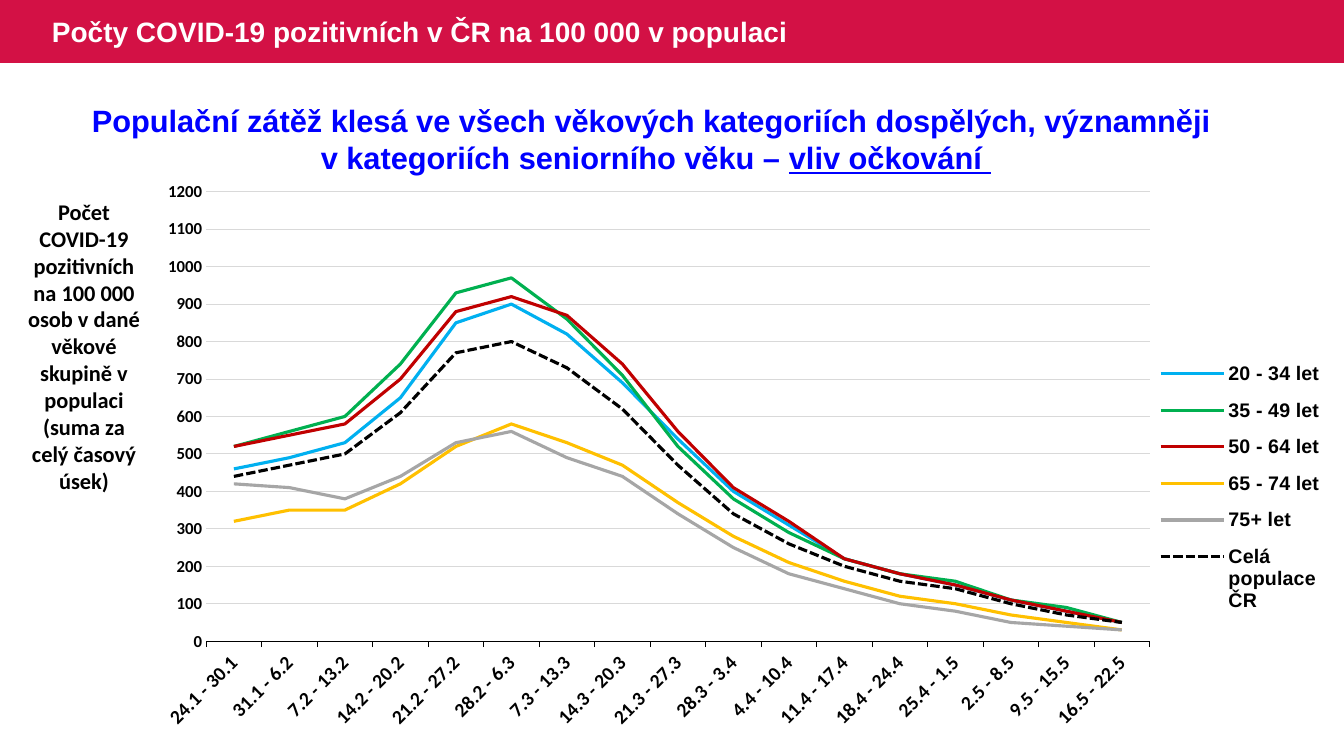
from lxml import etree
from pptx import Presentation
from pptx.chart.data import CategoryChartData
from pptx.dml.color import RGBColor
from pptx.enum.chart import XL_CHART_TYPE, XL_LEGEND_POSITION, XL_TICK_MARK
from pptx.enum.dml import MSO_LINE
from pptx.enum.shapes import MSO_SHAPE
from pptx.enum.text import MSO_ANCHOR, PP_ALIGN
from pptx.oxml.ns import qn
from pptx.util import Pt

PX = 9525
COLORS = {
    "band": "D31145", "white": "FFFFFF", "black": "000000", "headline": "0000FF",
    "grid": "D9D9D9", "20-34": "00B0F0", "35-49": "00B050", "50-64": "C00000",
    "65-74": "FFC000", "75+": "A6A6A6",
}
WEEKS = [
    "24.1 - 30.1", "31.1 - 6.2", "7.2 - 13.2", "14.2 - 20.2", "21.2 - 27.2", "28.2 - 6.3",
    "7.3 - 13.3", "14.3 - 20.3", "21.3 - 27.3", "28.3 - 3.4", "4.4 - 10.4", "11.4 - 17.4",
    "18.4 - 24.4", "25.4 - 1.5", "2.5 - 8.5", "9.5 - 15.5", "16.5 - 22.5",
]
SERIES = [
    ("20 - 34 let", "20-34",
     [460, 490, 530, 650, 850, 900, 820, 690, 540, 400, 310, 220, 180, 150, 110, 80, 50]),
    ("35 - 49 let", "35-49",
     [520, 560, 600, 740, 930, 970, 860, 710, 520, 380, 290, 220, 180, 160, 110, 90, 50]),
    ("50 - 64 let", "50-64",
     [520, 550, 580, 700, 880, 920, 870, 740, 560, 410, 320, 220, 180, 150, 110, 80, 50]),
    ("65 - 74 let", "65-74",
     [320, 350, 350, 420, 520, 580, 530, 470, 370, 280, 210, 160, 120, 100, 70, 50, 30]),
    ("75+ let", "75+",
     [420, 410, 380, 440, 530, 560, 490, 440, 340, 250, 180, 140, 100, 80, 50, 40, 30]),
    ("Celá populace ČR", "black",
     [440, 470, 500, 610, 770, 800, 730, 620, 470, 340, 260, 200, 160, 140, 100, 70, 50]),
]
TEXTS = [
    ((40, 0, 804, 60), [["Počty COVID-19 pozitivních v ČR na 100 000 v populaci"]],
     20, "Arial", "white", PP_ALIGN.LEFT, MSO_ANCHOR.MIDDLE),
    ((14, 184, 132, 294),
     [["Počet COVID-19 pozitivních na 100 000 osob v dané věkové skupině "
       "v populaci (suma za celý časový úsek)"]],
     16, "Calibri", "black", PP_ALIGN.CENTER, MSO_ANCHOR.TOP),
    ((29, 92, 1191, 81),
     [["Populační zátěž klesá ve všech věkových kategoriích dospělých, významněji "],
      ["v kategoriích seniorního věku – ", "vliv očkování "]],
     22, "Arial", "headline", PP_ALIGN.CENTER, MSO_ANCHOR.TOP),
]


def style_font(font, size, name, color):
    font.size = Pt(size)
    font.name = name
    font.bold = True
    font.color.rgb = RGBColor.from_string(COLORS[color])


def place(parent, index, inner, **fractions):
    for old in parent.findall(qn("c:layout")):
        parent.remove(old)
    layout = etree.Element(qn("c:layout"))
    manual = etree.SubElement(layout, qn("c:manualLayout"))
    if inner:
        etree.SubElement(manual, qn("c:layoutTarget")).set("val", "inner")
    for tag in ("xMode", "yMode"):
        etree.SubElement(manual, qn(f"c:{tag}")).set("val", "edge")
    for tag, value in fractions.items():
        etree.SubElement(manual, qn(f"c:{tag}")).set("val", str(value))
    parent.insert(index, layout)


prs = Presentation()
prs.slide_width, prs.slide_height = 1280 * PX, 720 * PX
s = prs.slides.add_slide(prs.slide_layouts[6])

band = s.shapes.add_shape(MSO_SHAPE.RECTANGLE, 0, 0, 1280 * PX, 60 * PX)
band.shadow.inherit = False
band.fill.solid()
band.fill.fore_color.rgb = RGBColor.from_string(COLORS["band"])
band.line.fill.background()

data = CategoryChartData()
data.categories = WEEKS
for name, _, values in SERIES:
    data.add_series(name, values)
chart = s.shapes.add_chart(
    XL_CHART_TYPE.LINE, 146 * PX, 168 * PX, 1119 * PX, 564 * PX, data).chart
chart.has_title = False
style_font(chart.font, 14, "Arial", "black")
chart.plots[0].vary_by_categories = False
for series, (_, color, _) in zip(chart.plots[0].series, SERIES):
    series.smooth = False
    series.format.line.width = Pt(2.25)
    series.format.line.color.rgb = RGBColor.from_string(COLORS[color])
series.format.line.dash_style = MSO_LINE.SQUARE_DOT

weeks = chart.category_axis
weeks.major_tick_mark = XL_TICK_MARK.OUTSIDE
weeks.format.line.width = Pt(0.75)
weeks.format.line.color.rgb = RGBColor.from_string(COLORS["black"])
style_font(weeks.tick_labels.font, 14, "Calibri", "black")
weeks_body = weeks._element.find(qn("c:txPr")).find(qn("a:bodyPr"))
weeks_body.set("rot", "-2700000")
weeks_body.set("vert", "horz")

counts = chart.value_axis
counts.minimum_scale, counts.maximum_scale, counts.major_unit = 0, 1200, 100
counts.major_tick_mark = XL_TICK_MARK.NONE
counts.format.line.fill.background()
counts.major_gridlines.format.line.width = Pt(0.75)
counts.major_gridlines.format.line.color.rgb = RGBColor.from_string(COLORS["grid"])
counts.tick_labels.number_format = "###0"
counts.tick_labels.number_format_is_linked = False
style_font(counts.tick_labels.font, 12, "Calibri", "black")

chart.has_legend = True
legend = chart.legend
legend.position = XL_LEGEND_POSITION.RIGHT
legend.include_in_layout = False
style_font(legend.font, 14, "Arial", "black")
place(legend._element, 1, False, x=0.85, y=0.29, w=0.15, h=0.47)
plot_area = chart._chartSpace.chart.plotArea
place(plot_area, 0, True, x=0.045, y=0.026, w=0.803, h=0.759)

for box, paragraphs, size, font, color, align, anchor in TEXTS:
    tf = s.shapes.add_textbox(*(v * PX for v in box)).text_frame
    tf.word_wrap = True
    tf.vertical_anchor = anchor
    for i, runs in enumerate(paragraphs):
        p = tf.add_paragraph() if i else tf.paragraphs[0]
        p.alignment = align
        for text in runs:
            r = p.add_run()
            r.text = text
            style_font(r.font, size, font, color)
r.font.underline = True

prs.save("out.pptx")
